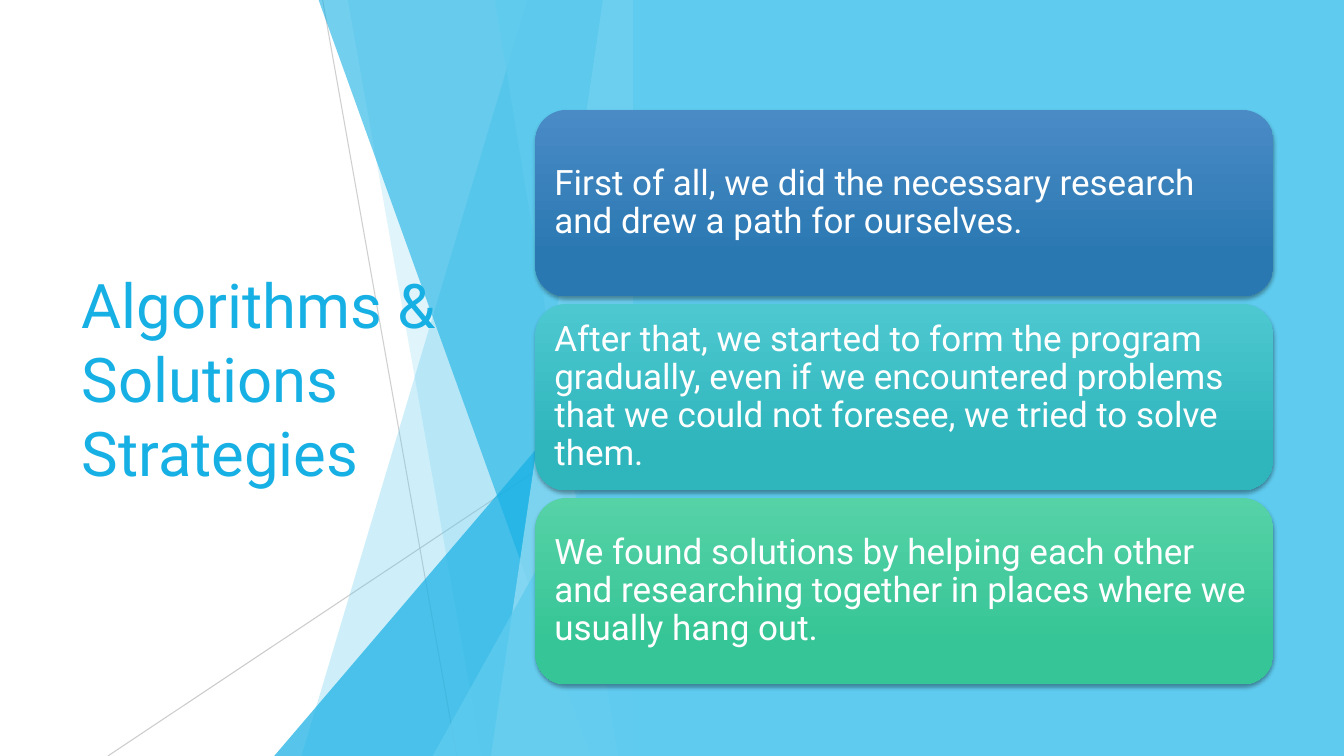
"""Build the "Algorithms & Solutions Strategies" slide: faceted backdrop, title, three cards."""
from lxml import etree
from pptx import Presentation
from pptx.dml.color import RGBColor
from pptx.enum.shapes import MSO_CONNECTOR, MSO_SHAPE
from pptx.enum.text import MSO_ANCHOR, MSO_AUTO_SIZE, PP_ALIGN
from pptx.oxml.ns import qn
from pptx.util import Inches, Pt

STRAIGHT = MSO_CONNECTOR.STRAIGHT
RECTANGLE = MSO_SHAPE.RECTANGLE
ROUNDED = MSO_SHAPE.ROUNDED_RECTANGLE
TRIANGLE = MSO_SHAPE.ISOSCELES_TRIANGLE
MIDDLE = MSO_ANCHOR.MIDDLE
LEFT = PP_ALIGN.LEFT
NO_AUTOFIT = MSO_AUTO_SIZE.NONE

SKY = RGBColor(0x5F, 0xCB, 0xEF)
AZURE = RGBColor(0x17, 0xB0, 0xE4)
PALE = RGBColor(0x9F, 0xE0, 0xF5)
GREY = RGBColor(0xBF, 0xBF, 0xBF)
WHITE = RGBColor(0xFF, 0xFF, 0xFF)
FONT = "Roboto"

TITLE = "Algorithms & Solutions Strategies"
CARDS = [
    ("First of all, we did the necessary research and drew a path for ourselves.",
     RGBColor(0x4A, 0x8B, 0xC6), RGBColor(0x2A, 0x78, 0xB2)),
    ("After that, we started to form the program gradually, even if we encountered "
     "problems that we could not foresee, we tried to solve them.",
     RGBColor(0x4D, 0xC8, 0xD0), RGBColor(0x2F, 0xB5, 0xBC)),
    ("We found solutions by helping each other and researching together in places "
     "where we usually hang out.",
     RGBColor(0x56, 0xD2, 0xA7), RGBColor(0x36, 0xC5, 0x96)),
]

WIDTH, HEIGHT = 13.33, 7.5
PANEL_LEFT = 6.28
CARD_LEFT, CARD_TOP, CARD_WIDTH, CARD_HEIGHT = 5.31, 1.09, 7.32, 1.85
CARD_PITCH = 1.925

# Each entry: start point, end point, opacity in percent.
RAYS = [((3.2, 0), (4.53, HEIGHT), 75), ((PANEL_LEFT, 4.03), (1.07, HEIGHT), 80)]
# A "band" leans from its top x to its bottom x; a "wedge" rises from its left x to its top y.
FACETS = [
    ("band", 5.23, 2.99, SKY, 30),
    ("band", 3.45, 4.78, SKY, 20),
    ("wedge", 2.72, 3.33, AZURE, 72),
    ("band", 3.16, 5.86, AZURE, 60),
    ("band", 5.98, 4.87, PALE, 70),
    ("band", 4.91, 6.13, SKY, 65),
    ("wedge", 4.29, 3.93, SKY, 80),
]


def set_opacity(element, percent):
    """Give the first RGB colour below an element an opacity."""
    color = next(element.iter(qn("a:srgbClr")))
    etree.SubElement(color, qn("a:alpha"), val=str(percent * 1000))


def fill_flat(shape, color, opacity=100):
    """Fill a shape with one colour, without outline or shadow."""
    shape.shadow.inherit = False
    shape.fill.solid()
    shape.fill.fore_color.rgb = color
    shape.line.fill.background()
    if opacity < 100:
        set_opacity(shape.element.spPr, opacity)


def add_ray(shapes, start, end, opacity):
    """Draw one thin translucent line."""
    ray = shapes.add_connector(STRAIGHT, *(Inches(value) for value in start + end))
    ray.line.color.rgb = GREY
    ray.line.width = Pt(0.75)
    set_opacity(ray.element.spPr, opacity)
    etree.SubElement(ray.element.spPr, qn("a:effectLst"))


def add_facet(shapes, kind, first, second, color, opacity):
    """Draw a translucent facet that ends at the panel edge."""
    if kind == "band":
        builder = shapes.build_freeform(Inches(first), 0)
        corners = [(PANEL_LEFT, 0), (PANEL_LEFT, HEIGHT), (second, HEIGHT)]
        builder.add_line_segments([(Inches(x), Inches(y)) for x, y in corners])
        facet = builder.convert_to_shape()
    else:
        facet = shapes.add_shape(TRIANGLE, Inches(first), Inches(second),
                                 Inches(PANEL_LEFT - first), Inches(HEIGHT - second))
        facet.adjustments[0] = 1
    fill_flat(facet, color, opacity)


def write_text(frame, text, size, color):
    """Write one left-aligned, vertically centred paragraph."""
    frame.word_wrap = True
    frame.auto_size = NO_AUTOFIT
    frame.vertical_anchor = MIDDLE
    paragraph = frame.paragraphs[0]
    paragraph.alignment = LEFT
    run = paragraph.add_run()
    run.text = text
    run.font.name = FONT
    run.font.size = Pt(size)
    run.font.color.rgb = color
    return paragraph


def add_card(shapes, row, text, top_color, bottom_color):
    """Draw one rounded gradient card with a soft shadow."""
    card = shapes.add_shape(ROUNDED, Inches(CARD_LEFT), Inches(CARD_TOP + row * CARD_PITCH),
                            Inches(CARD_WIDTH), Inches(CARD_HEIGHT))
    card.line.fill.background()
    card.fill.gradient()
    card.fill.gradient_angle = 270
    stops = card.fill.gradient_stops
    for stop, position, color in zip(stops, (0, 0.78), (top_color, bottom_color)):
        stop.position = position
        stop.color.rgb = color
    card.shadow.inherit = False
    effects = card.element.spPr.find(qn("a:effectLst"))
    shadow = etree.SubElement(effects, qn("a:outerShdw"), blurRad=str(Pt(3)),
                              dist=str(Pt(2)), dir="5400000", rotWithShape="0")
    etree.SubElement(shadow, qn("a:srgbClr"), val="000000")
    set_opacity(shadow, 35)
    frame = card.text_frame
    frame.margin_left = frame.margin_right = Inches(0.1)
    frame.margin_top = frame.margin_bottom = Inches(0.1)
    write_text(frame, text, 25, WHITE).line_spacing = 0.9


def main():
    """Assemble and save the slide."""
    presentation = Presentation()
    presentation.slide_width, presentation.slide_height = Inches(WIDTH), Inches(HEIGHT)
    slide = presentation.slides.add_slide(presentation.slide_layouts[5])
    shapes = slide.shapes
    for ray in RAYS:
        add_ray(shapes, *ray)
    for facet in FACETS:
        add_facet(shapes, *facet)

    title = shapes.title
    title.element.getparent().append(title.element)
    title.left, title.top = Inches(0.71), Inches(1.51)
    title.width, title.height = Inches(3.88), Inches(4.48)
    write_text(title.text_frame, TITLE, 44, AZURE)

    panel = shapes.add_shape(RECTANGLE, Inches(PANEL_LEFT), 0,
                             Inches(WIDTH - PANEL_LEFT), Inches(HEIGHT))
    fill_flat(panel, SKY)
    for row, card in enumerate(CARDS):
        add_card(shapes, row, *card)
    presentation.save("out.pptx")


if __name__ == "__main__":
    main()
